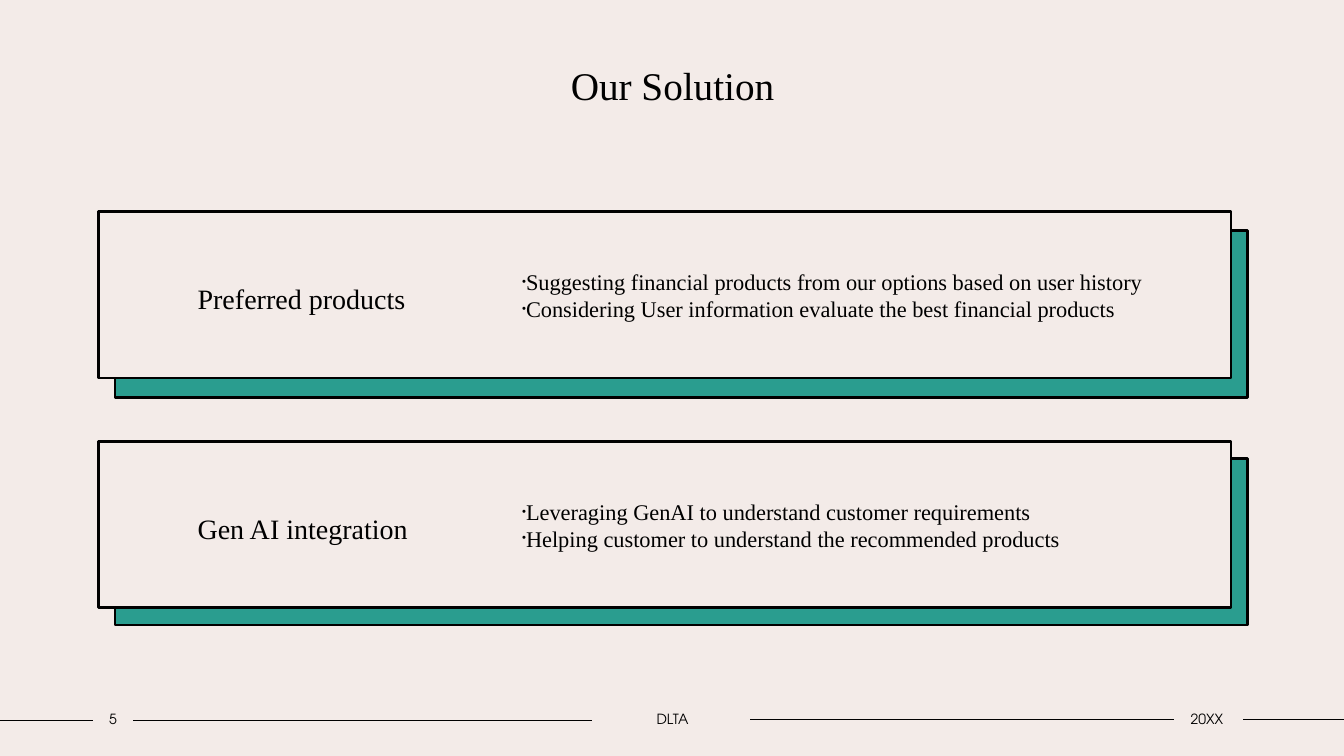
from dataclasses import dataclass

from lxml.etree import SubElement
from pptx import Presentation
from pptx.dml.color import RGBColor as RGB
from pptx.enum.shapes import MSO_CONNECTOR as Line, MSO_SHAPE as Shape
from pptx.enum.text import MSO_ANCHOR as Anchor, PP_ALIGN as Align
from pptx.oxml.ns import qn
from pptx.util import Inches, Pt


@dataclass(frozen=True)
class Theme:
    paper: RGB = RGB(0xF3, 0xEB, 0xE8)
    ink: RGB = RGB(0, 0, 0)
    teal: RGB = RGB(0x2A, 0x9D, 0x8F)
    serif: str = "Times New Roman"
    sans: str = "TeX Gyre Adventor"
    title: int = 28
    label: int = 20
    body: int = 16
    foot: int = 10


THEME = Theme()

CARDS = [
    # top, shade drop, label, points
    (2.1, 0.19, "Preferred products", [
        "Suggesting financial products from our options based on user history",
        "Considering User information evaluate the best financial products",
    ]),
    (4.38, 0.17, "Gen AI integration", [
        "Leveraging GenAI to understand customer requirements",
        "Helping customer to understand the recommended products",
    ]),
]
RULES = [(0, 0.92, 7.15), (1.32, 5.87, 7.15), (7.44, 11.64, 7.14), (12.33, 13.33, 7.14)]
NOTES = [(0.92, 0.4, "5"), (5.87, 1.6, "DLTA"), (11.62, 0.7, "20XX")]


def add_run(para, text, size, face=THEME.serif):
    run = para.add_run()
    run.text = text
    run.font.name = face
    run.font.size = Pt(size)
    run.font.color.rgb = THEME.ink


def set_frame(frame, anchor, left=0.1, right=0.1):
    frame.word_wrap = True
    frame.vertical_anchor = anchor
    frame.margin_left, frame.margin_right = Inches(left), Inches(right)
    frame.margin_top = frame.margin_bottom = Inches(0.05)


def add_text(slide, left, top, width, height, inset=0.1):
    box = slide.shapes.add_textbox(*map(Inches, (left, top, width, height)))
    set_frame(box.text_frame, Anchor.MIDDLE, inset, inset)
    return box.text_frame


def add_panel(slide, left, top, width, height, fill):
    panel = slide.shapes.add_shape(Shape.RECTANGLE, *map(Inches, (left, top, width, height)))
    panel.shadow.inherit = False
    panel.fill.solid()
    panel.fill.fore_color.rgb = fill
    panel.line.color.rgb = THEME.ink
    panel.line.width = Pt(2)
    return panel


def add_bullet(para):
    props = para._p.get_or_add_pPr()
    props.set("marL", "0")
    props.set("indent", str(Inches(-0.15)))
    SubElement(props, qn("a:buSzPct")).set("val", "50000")
    SubElement(props, qn("a:buFont")).set("typeface", "Arial")
    SubElement(props, qn("a:buChar")).set("char", "•")


def add_title(slide, left, top, width, height, text):
    title = slide.shapes.title
    title.left, title.top, title.width, title.height = map(Inches, (left, top, width, height))
    set_frame(title.text_frame, Anchor.TOP)
    para = title.text_frame.paragraphs[0]
    para.alignment = Align.CENTER
    add_run(para, text, THEME.title)


def add_card(slide, left, top, width, height, drop, label, points):
    # Offset shade and front panel
    add_panel(slide, left + 0.16, top + drop, width, height, THEME.teal)
    panel = add_panel(slide, left, top, width, height, THEME.paper)

    # Label on the left
    set_frame(panel.text_frame, Anchor.MIDDLE, 0.98, 7.1)
    para = panel.text_frame.paragraphs[0]
    para.alignment = Align.LEFT
    para.line_spacing = 1.2
    add_run(para, label, THEME.label)

    # Points on the right
    frame = add_text(slide, left + 4.1, top + 0.1, width - 4.22, height - 0.2)
    for i, point in enumerate(points):
        para = frame.add_paragraph() if i else frame.paragraphs[0]
        add_bullet(para)
        add_run(para, point, THEME.body)


def add_footer(slide, top, height):
    # Rules between the notes
    for start, end, y in RULES:
        rule = slide.shapes.add_connector(Line.STRAIGHT, *map(Inches, (start, y, end, y)))
        rule.line.color.rgb = THEME.ink
        rule.line.width = Pt(1)
        SubElement(rule._element.spPr, qn("a:effectLst"))

    # Page number, name and year
    for left, width, text in NOTES:
        para = add_text(slide, left, top, width, height, 0).paragraphs[0]
        para.alignment = Align.CENTER
        add_run(para, text, THEME.foot, THEME.sans)


def main():
    deck = Presentation()
    deck.slide_width, deck.slide_height = Inches(13.33), Inches(7.5)
    slide = deck.slides.add_slide(deck.slide_layouts[5])
    slide.background.fill.solid()
    slide.background.fill.fore_color.rgb = THEME.paper

    add_title(slide, 1.25, 0.56, 10.84, 1.11, "Our Solution")
    for top, drop, label, points in CARDS:
        add_card(slide, 0.98, top, 11.23, 1.65, drop, label, points)
    add_footer(slide, 7, 0.27)
    deck.save("out.pptx")


if __name__ == "__main__":
    main()
